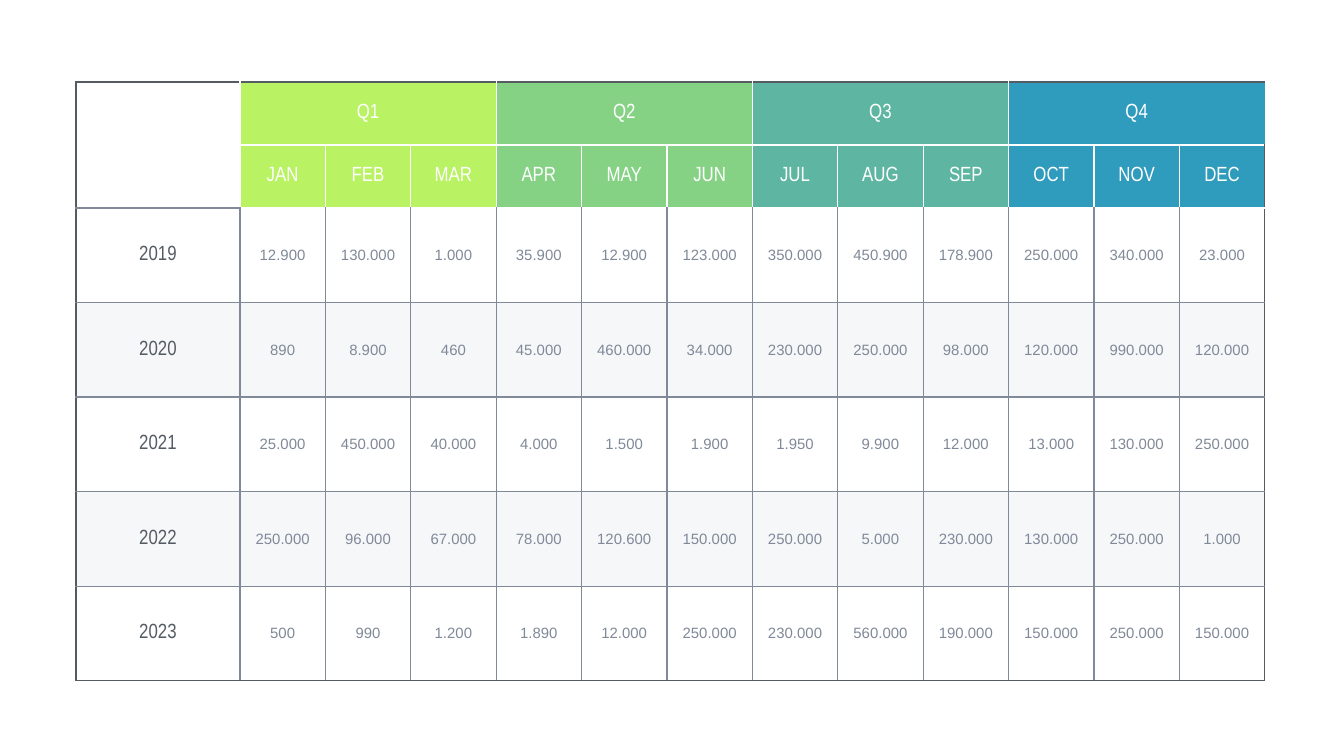
from dataclasses import dataclass

from lxml.etree import SubElement
from pptx import Presentation
from pptx.dml.color import RGBColor
from pptx.enum.text import MSO_ANCHOR, PP_ALIGN
from pptx.oxml.ns import qn
from pptx.util import Pt

EMU_PER_PX = 9144000 / 1344
SLIDE_SIZE = (1344, 756)
TABLE_BOX = (76, 82, 1189, 599)
YEAR_WIDTH = 164
HEADER_HEIGHT = 63
HEADER_ROWS = 2
MONTHS_PER_QUARTER = 3
PLAIN_TABLE_STYLE = "{2D5ABB26-0587-4C30-8999-92F81FD0307C}"


@dataclass(frozen=True)
class Theme:
    white: str = "FFFFFF"
    dark: str = "545B63"
    grey: str = "7F8998"
    band: str = "EEF0F4"
    band_opacity: int = 50
    quarters: tuple = ("B9F263", "86D285", "5EB6A2", "2F9BBD")
    heading_font: str = "Arial Narrow"
    value_font: str = "Arial"
    heading_size: int = 11
    value_size: int = 8
    border: float = 0.75


THEME = Theme()
HEADING = {"name": THEME.heading_font, "size": Pt(THEME.heading_size)}
VALUE = {"name": THEME.value_font, "size": Pt(THEME.value_size)}

QUARTERS = ("Q1", "Q2", "Q3", "Q4")
MONTHS = "JAN FEB MAR APR MAY JUN JUL AUG SEP OCT NOV DEC".split()
SALES = {
    "2019": "12.900 130.000 1.000 35.900 12.900 123.000 350.000 450.900 178.900 250.000 340.000 23.000",
    "2020": "890 8.900 460 45.000 460.000 34.000 230.000 250.000 98.000 120.000 990.000 120.000",
    "2021": "25.000 450.000 40.000 4.000 1.500 1.900 1.950 9.900 12.000 13.000 130.000 250.000",
    "2022": "250.000 96.000 67.000 78.000 120.600 150.000 250.000 5.000 230.000 130.000 250.000 1.000",
    "2023": "500 990 1.200 1.890 12.000 250.000 230.000 560.000 190.000 150.000 250.000 150.000",
}
ROW_COUNT = HEADER_ROWS + len(SALES)
COLUMN_COUNT = 1 + len(MONTHS)


def px(length):
    return round(length * EMU_PER_PX)


def in_grid(row, column):
    return 0 <= row < ROW_COUNT and 0 <= column < COLUMN_COUNT


def in_coloured_header(row, column):
    return row < HEADER_ROWS and column > 0


def border_color(cell_at, neighbour_at):
    """Dark around the table, white beside the coloured header, grey elsewhere."""
    if not in_grid(*neighbour_at):
        return THEME.dark
    if in_coloured_header(*cell_at) or in_coloured_header(*neighbour_at):
        return THEME.white
    return THEME.grey


def draw_borders(table, row, column, height, width):
    """Outline a block of cells, leaving out the edges inside it."""
    block = {(r, c) for r in range(row, row + height)
             for c in range(column, column + width)}
    steps = {"a:lnL": (0, -1), "a:lnR": (0, 1), "a:lnT": (-1, 0), "a:lnB": (1, 0)}
    for r, c in sorted(block):
        properties = table.cell(r, c)._tc.get_or_add_tcPr()
        for tag, (down, across) in steps.items():
            neighbour = (r + down, c + across)
            if neighbour in block:
                continue
            line = SubElement(properties, qn(tag), w=str(Pt(THEME.border)))
            paint = SubElement(line, qn("a:solidFill"))
            SubElement(paint, qn("a:srgbClr"), val=border_color((r, c), neighbour))


def fill_cell(cell, color, opacity=100):
    cell.fill.solid()
    cell.fill.fore_color.rgb = RGBColor.from_string(color)
    if opacity < 100:
        paint = cell._tc.tcPr.find(qn("a:solidFill")).find(qn("a:srgbClr"))
        SubElement(paint, qn("a:alpha"), val=str(opacity * 1000))


def write_cell(cell, text, font_format, color):
    layout = {"vertical_anchor": MSO_ANCHOR.MIDDLE,
              "margin_left": px(5), "margin_right": px(5),
              "margin_top": px(3), "margin_bottom": px(3)}
    for attribute, value in layout.items():
        setattr(cell, attribute, value)
    paragraph = cell.text_frame.paragraphs[0]
    paragraph.alignment = PP_ALIGN.CENTER
    run = paragraph.add_run()
    run.text = text
    for attribute, value in font_format.items():
        setattr(run.font, attribute, value)
    run.font.color.rgb = RGBColor.from_string(color)


def add_block(table, row, column, text, font_format, text_color,
              fill, opacity=100, height=1, width=1):
    cell = table.cell(row, column)
    if height > 1 or width > 1:
        cell.merge(table.cell(row + height - 1, column + width - 1))
    draw_borders(table, row, column, height, width)
    fill_cell(cell, fill, opacity)
    if text:
        write_cell(cell, text, font_format, text_color)


def add_header(table):
    add_block(table, 0, 0, "", HEADING, THEME.dark, THEME.white, height=HEADER_ROWS)
    for index, quarter in enumerate(QUARTERS):
        add_block(table, 0, 1 + index * MONTHS_PER_QUARTER, quarter, HEADING,
                  THEME.white, THEME.quarters[index], width=MONTHS_PER_QUARTER)
    for index, month in enumerate(MONTHS):
        add_block(table, 1, 1 + index, month, HEADING, THEME.white,
                  THEME.quarters[index // MONTHS_PER_QUARTER])


def add_years(table):
    for index, (year, sales) in enumerate(SALES.items()):
        row = HEADER_ROWS + index
        background = (THEME.band, THEME.band_opacity) if index % 2 else (THEME.white, 100)
        add_block(table, row, 0, year, HEADING, THEME.dark, *background)
        for column, amount in enumerate(sales.split(), start=1):
            add_block(table, row, column, amount, VALUE, THEME.grey, *background)


def add_sales_table(slide, box):
    left, top, width, height = box
    frame = slide.shapes.add_table(ROW_COUNT, COLUMN_COUNT, *map(px, box))
    table = frame.table
    table._tbl.tblPr.find(qn("a:tableStyleId")).text = PLAIN_TABLE_STYLE
    table.first_row = table.horz_banding = False
    month_width = (width - YEAR_WIDTH) / len(MONTHS)
    year_height = (height - HEADER_ROWS * HEADER_HEIGHT) / len(SALES)
    for index, column in enumerate(table.columns):
        column.width = px(month_width if index else YEAR_WIDTH)
    for index, row in enumerate(table.rows):
        row.height = px(HEADER_HEIGHT if index < HEADER_ROWS else year_height)
    add_header(table)
    add_years(table)


def main():
    presentation = Presentation()
    presentation.slide_width, presentation.slide_height = map(px, SLIDE_SIZE)
    slide = presentation.slides.add_slide(presentation.slide_layouts[6])
    add_sales_table(slide, TABLE_BOX)
    presentation.save("out.pptx")


if __name__ == "__main__":
    main()
